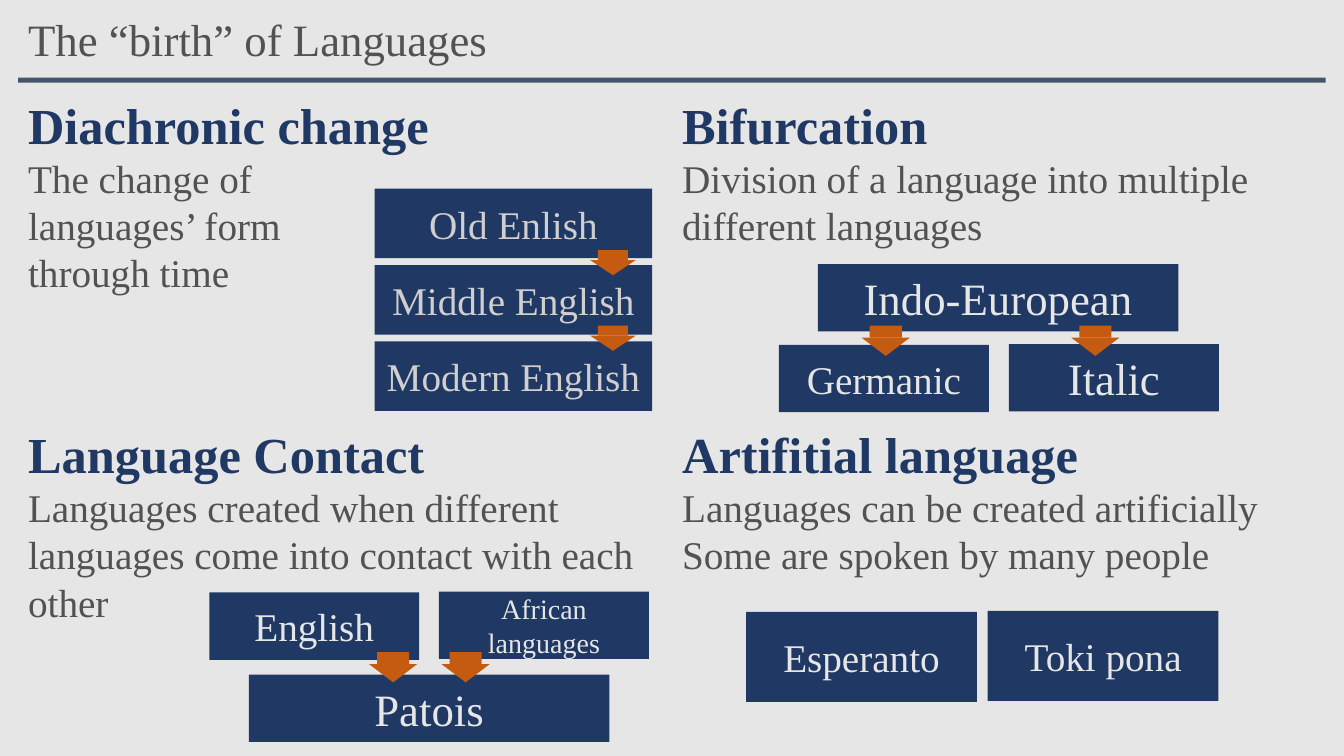
from pptx import Presentation
from pptx.dml.color import RGBColor
from pptx.enum.shapes import MSO_SHAPE
from pptx.enum.text import MSO_ANCHOR, MSO_AUTO_SIZE, PP_ALIGN
from pptx.util import Pt

RECTANGLE = MSO_SHAPE.RECTANGLE
TRIANGLE = MSO_SHAPE.ISOSCELES_TRIANGLE
TOP, MIDDLE = MSO_ANCHOR.TOP, MSO_ANCHOR.MIDDLE
LEFT, CENTER = PP_ALIGN.LEFT, PP_ALIGN.CENTER
FIT_SHAPE = MSO_AUTO_SIZE.SHAPE_TO_FIT_TEXT

NAVY, ORANGE, SLATE = "1F3864", "C55A11", "44546A"
PALE, SILVER, GRAY = "E7E6E6", "D0CECE", "525252"
FONT = "Times New Roman"
HEADING = {"size": Pt(36), "bold": True, "color": NAVY}
BODY = {"size": Pt(28), "bold": False, "color": GRAY}

WIDTH, HEIGHT = 960, 540
MARGIN = 13
PANEL_WIDTH, PANEL_HEIGHT = 467.2, 235.4
PANEL_TOP = 63.4

# Each panel: heading, then body paragraphs as lists of lines; filled row by row
PANELS = [
    ("Diachronic change", [["The change of"], ["languages’ form", "through time"]]),
    ("Bifurcation", [["Division of a language into multiple different languages"]]),
    ("Language Contact", [["Languages created when different languages come into "
                           "contact with each other"]]),
    ("Artifitial language", [["Languages can be created artificially"],
                             ["Some are spoken by many people"]]),
]

STAGES = ["Old Enlish", "Middle English", "Modern English"]
STAGE_LEFT, STAGE_TOP, STAGE_STEP = 267.5, 134.7, 54.6
STAGE_SIZE = (198.4, 49.7)

PARENT, CHILD, INVENTED = (257.5, 48.1), (150, 48.1), (164.9, 64.2)
LANGUAGES = [  # name, left, top, box size, text size
    ("Indo-European", 584.2, 188.6, PARENT, 32),
    ("Germanic", 556.4, 246.4, CHILD, 28),
    ("Italic", 720.7, 245.8, CHILD, 32),
    ("English", 149.5, 423.2, CHILD, 28),
    ("African languages", 313.6, 422.6, CHILD, 20),
    ("Patois", 177.8, 481.9, PARENT, 32),
    ("Esperanto", 532.9, 437.1, INVENTED, 28),
    ("Toki pona", 705.5, 436.4, INVENTED, 28),
]

SMALL = ((21.6, 7.2), (32.4, 10.8))
LARGE = ((23, 8.6), (34.4, 13))
ARROWS = [  # centre, top, (stem size, head size)
    (437.8, 178.6, SMALL),
    (437.8, 232.6, SMALL),
    (632.7, 232.6, LARGE),
    (782.4, 232.6, LARGE),
    (280.8, 465.8, LARGE),
    (332.6, 465.8, LARGE),
]


def rgb(value):
    return RGBColor.from_string(value)


class Painter:
    def __init__(self, page, font):
        self.page = page
        self.font = font

    def shape(self, kind, left, top, width, height, color, parent=None):
        shapes = (parent or self.page).shapes
        shape = shapes.add_shape(kind, Pt(left), Pt(top), Pt(width), Pt(height))
        shape.shadow.inherit = False
        shape.fill.solid()
        shape.fill.fore_color.rgb = rgb(color)
        shape.line.fill.background()
        return shape

    def fill_text(self, shape, paragraphs, anchor=TOP, align=LEFT):
        """Fill a shape with paragraphs given as (lines, style) pairs."""
        frame = shape.text_frame
        frame.word_wrap = True
        frame.vertical_anchor = anchor
        for index, (lines, style) in enumerate(paragraphs):
            para = frame.add_paragraph() if index else frame.paragraphs[0]
            para.alignment = align
            for number, line in enumerate(lines):
                if number:
                    para.add_line_break()
                span = para.add_run()
                span.text = line
                self.style_font(span.font, style)

    def style_font(self, font, style):
        font.name = self.font
        for name, value in style.items():
            if name == "color":
                font.color.rgb = rgb(value)
            else:
                setattr(font, name, value)

    def text(self, left, top, width, height, paragraphs, anchor=TOP):
        box = self.page.shapes.add_textbox(Pt(left), Pt(top), Pt(width), Pt(height))
        self.fill_text(box, paragraphs, anchor)
        return box

    def label(self, name, left, top, size, text_size, color=PALE):
        """Draw a navy box with a centred name."""
        box = self.shape(RECTANGLE, left, top, *size, NAVY)
        style = {"size": Pt(text_size), "color": color}
        self.fill_text(box, [([name], style)], MIDDLE, CENTER)

    def arrow(self, center, top, sizes):
        """Draw a grouped stem and head that point down."""
        group = self.page.shapes.add_group_shape()
        for kind, (width, height) in zip((RECTANGLE, TRIANGLE), sizes):
            part = self.shape(kind, center - width / 2, top, width, height, ORANGE, group)
            top += height
        part.rotation = 180


def main():
    deck = Presentation()
    deck.slide_width, deck.slide_height = Pt(WIDTH), Pt(HEIGHT)
    page = deck.slides.add_slide(deck.slide_layouts[6])
    painter = Painter(page, FONT)

    painter.shape(RECTANGLE, 0, 0, WIDTH, HEIGHT, PALE)
    painter.shape(RECTANGLE, MARGIN, 55.4, WIDTH - 2 * MARGIN, 3.6, SLATE)
    title_style = {"size": Pt(32), "color": GRAY}
    title = painter.text(MARGIN, 4.3, 365, 46,
                         [(["The “birth” of Languages"], title_style)], MIDDLE)
    title.text_frame.auto_size = FIT_SHAPE

    for index, (heading, body) in enumerate(PANELS):
        row, column = divmod(index, 2)
        paragraphs = [([heading], HEADING)] + [(lines, BODY) for lines in body]
        painter.text(MARGIN + column * PANEL_WIDTH, PANEL_TOP + row * PANEL_HEIGHT,
                     PANEL_WIDTH, PANEL_HEIGHT, paragraphs)

    for index, stage in enumerate(STAGES):
        painter.label(stage, STAGE_LEFT, STAGE_TOP + index * STAGE_STEP,
                      STAGE_SIZE, 28, SILVER)
    for language in LANGUAGES:
        painter.label(*language)
    for arrow in ARROWS:
        painter.arrow(*arrow)

    deck.save("out.pptx")


if __name__ == "__main__":
    main()
